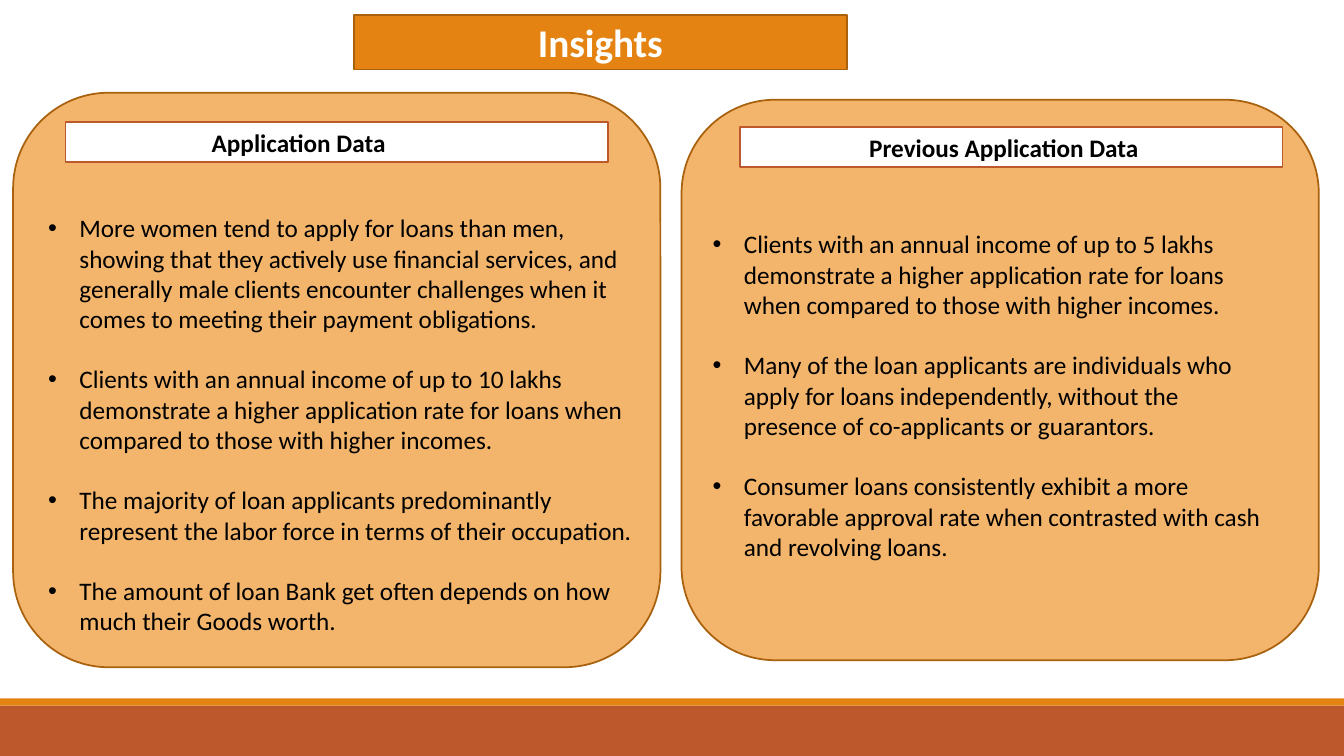
from dataclasses import dataclass

from lxml import etree
from pptx import Presentation
from pptx import util as u
from pptx.dml.color import RGBColor
from pptx.enum import shapes, text
from pptx.oxml.ns import qn

PX = 9144  # EMU per px, at 100 px to the inch
FONT = "Calibri"
BODY_SIZE = 18
BULLET_INDENT = 31
BULLET_GAP = 21.6  # points, one line of body text
COLORS = {
    "white": "FFFFFF",
    "black": "000000",
    "orange": "E48312",
    "dark_orange": "A9610D",
    "peach": "F3B56C",
    "rust": "BD582C",
}


@dataclass(frozen=True)
class Area:
    left: int
    top: int
    width: int
    height: int

    def emu(self) -> list[int]:
        return [side * PX for side in (self.left, self.top, self.width, self.height)]


@dataclass(frozen=True)
class Panel:
    card: Area
    heading_area: Area
    heading: str
    heading_inset: int
    list_area: Area
    bullets: tuple[str, ...]


PANELS = (
    Panel(
        Area(13, 92, 642, 570), Area(65, 121, 538, 40), "Application Data", 145,
        Area(38, 206, 607, 495),
        (
            "More women tend to apply for loans than men, showing that they actively use "
            "financial services, and generally male clients encounter challenges when it "
            "comes to meeting their payment obligations.",
            "Clients with an annual income of up to 10 lakhs demonstrate a higher "
            "application rate for loans when compared to those with higher incomes.",
            "The majority of loan applicants predominantly represent the labor force in "
            "terms of their occupation.",
            "The amount of loan Bank get often depends on how much their Goods worth.",
        ),
    ),
    Panel(
        Area(676, 99, 632, 556), Area(734, 126, 538, 40), "Previous Application Data", 128,
        Area(697, 222, 574, 344),
        (
            "Clients with an annual income of up to 5 lakhs demonstrate a higher "
            "application rate for loans when compared to those with higher incomes.",
            "Many of the loan applicants are individuals who apply for loans "
            "independently, without the presence of co-applicants or guarantors.",
            "Consumer loans consistently exhibit a more favorable approval rate when "
            "contrasted with cash and revolving loans.",
        ),
    ),
)


def rgb(name: str) -> RGBColor:
    return RGBColor.from_string(COLORS[name])


def add_box(page, area: Area, fill: str, line: str | None = None, rounded: bool = False):
    kind = shapes.MSO_SHAPE.ROUNDED_RECTANGLE if rounded else shapes.MSO_SHAPE.RECTANGLE
    box = page.shapes.add_shape(kind, *area.emu())
    box.shadow.inherit = False
    box.fill.solid()
    box.fill.fore_color.rgb = rgb(fill)
    if line:
        box.line.color.rgb = rgb(line)
        box.line.width = u.Pt(1.25)
    else:
        box.line.fill.background()
    return box


def add_bullet(para) -> None:
    props = para._p.get_or_add_pPr()
    props.set("marL", str(BULLET_INDENT * PX))
    props.set("indent", str(-BULLET_INDENT * PX))
    etree.SubElement(props, qn("a:buFont")).set("typeface", "Arial")
    etree.SubElement(props, qn("a:buChar")).set("char", "•")


def write(box, *lines: str, size: int = BODY_SIZE, color: str = "black", bold: bool = False,
          align=text.PP_ALIGN.LEFT, anchor=text.MSO_ANCHOR.TOP,
          bulleted: bool = False, gap: float = 0) -> None:
    frame = box.text_frame
    frame.word_wrap = True
    frame.vertical_anchor = anchor
    for index, line in enumerate(lines):
        para = frame.add_paragraph() if index else frame.paragraphs[0]
        para.alignment = align
        if index and gap:
            para.space_before = u.Pt(gap)
        if bulleted:
            add_bullet(para)
        span = para.add_run()
        span.text = line
        span.font.name = FONT
        span.font.size = u.Pt(size)
        span.font.bold = bold
        span.font.color.rgb = rgb(color)


def add_panel(page, panel: Panel) -> None:
    add_box(page, panel.card, "peach", "dark_orange", rounded=True)
    heading = add_box(page, panel.heading_area, "white", "rust")
    write(heading, panel.heading, bold=True)
    heading.text_frame.margin_left = panel.heading_inset * PX
    bullet_list = page.shapes.add_textbox(*panel.list_area.emu())
    write(bullet_list, *panel.bullets, bulleted=True, gap=BULLET_GAP)


def main() -> None:
    deck = Presentation()
    deck.slide_width, deck.slide_height = 1333 * PX, 750 * PX
    page = deck.slides.add_slide(deck.slide_layouts[6])

    # Footer bands
    add_box(page, Area(0, 700, 1333, 50), "rust")
    add_box(page, Area(0, 693, 1333, 7), "orange")

    # Title
    title = add_box(page, Area(351, 15, 489, 54), "orange", "dark_orange")
    write(title, "Insights", size=28, color="white", bold=True,
          align=text.PP_ALIGN.CENTER, anchor=text.MSO_ANCHOR.MIDDLE)

    # Panels
    for panel in PANELS:
        add_panel(page, panel)

    deck.save("out.pptx")


if __name__ == "__main__":
    main()
